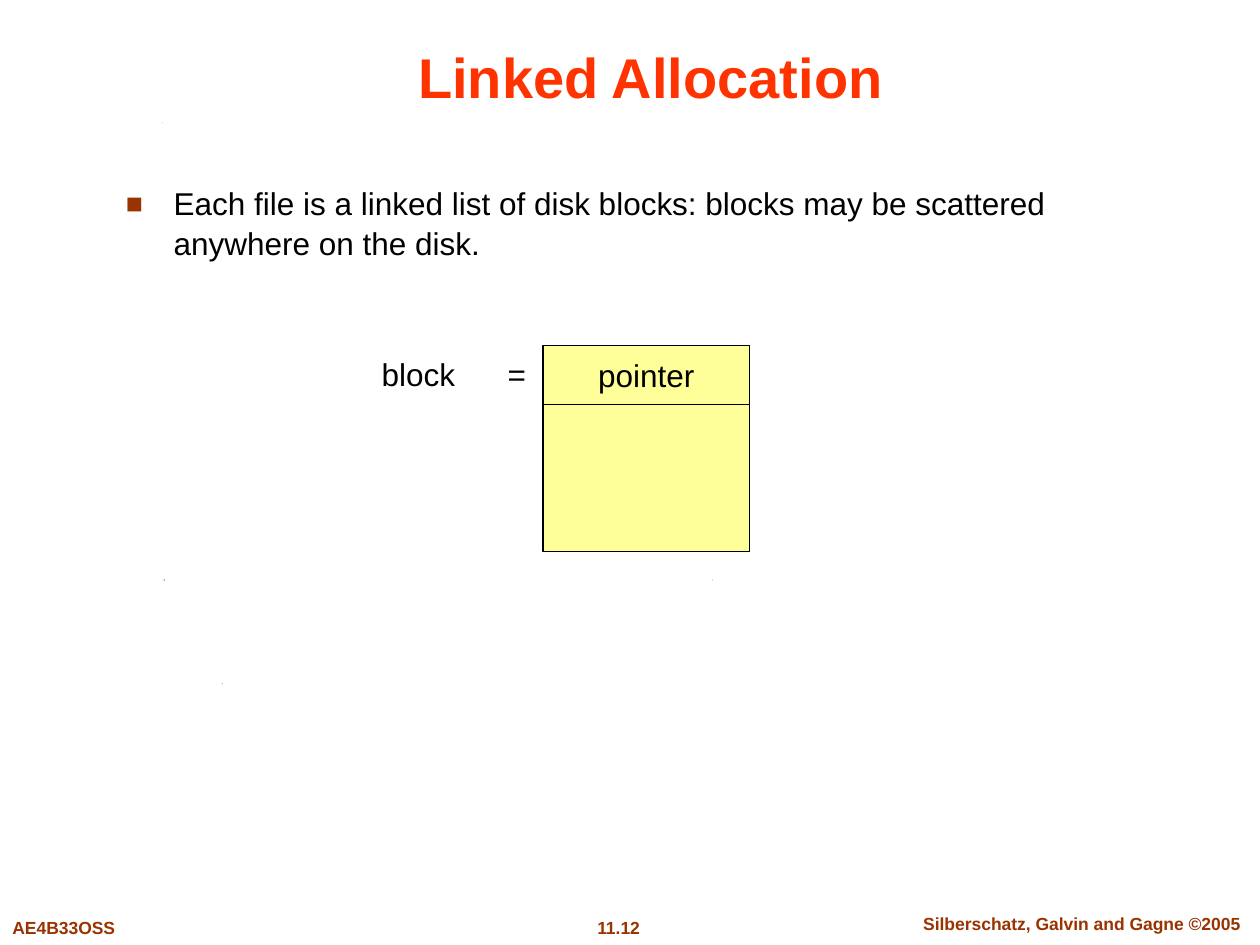
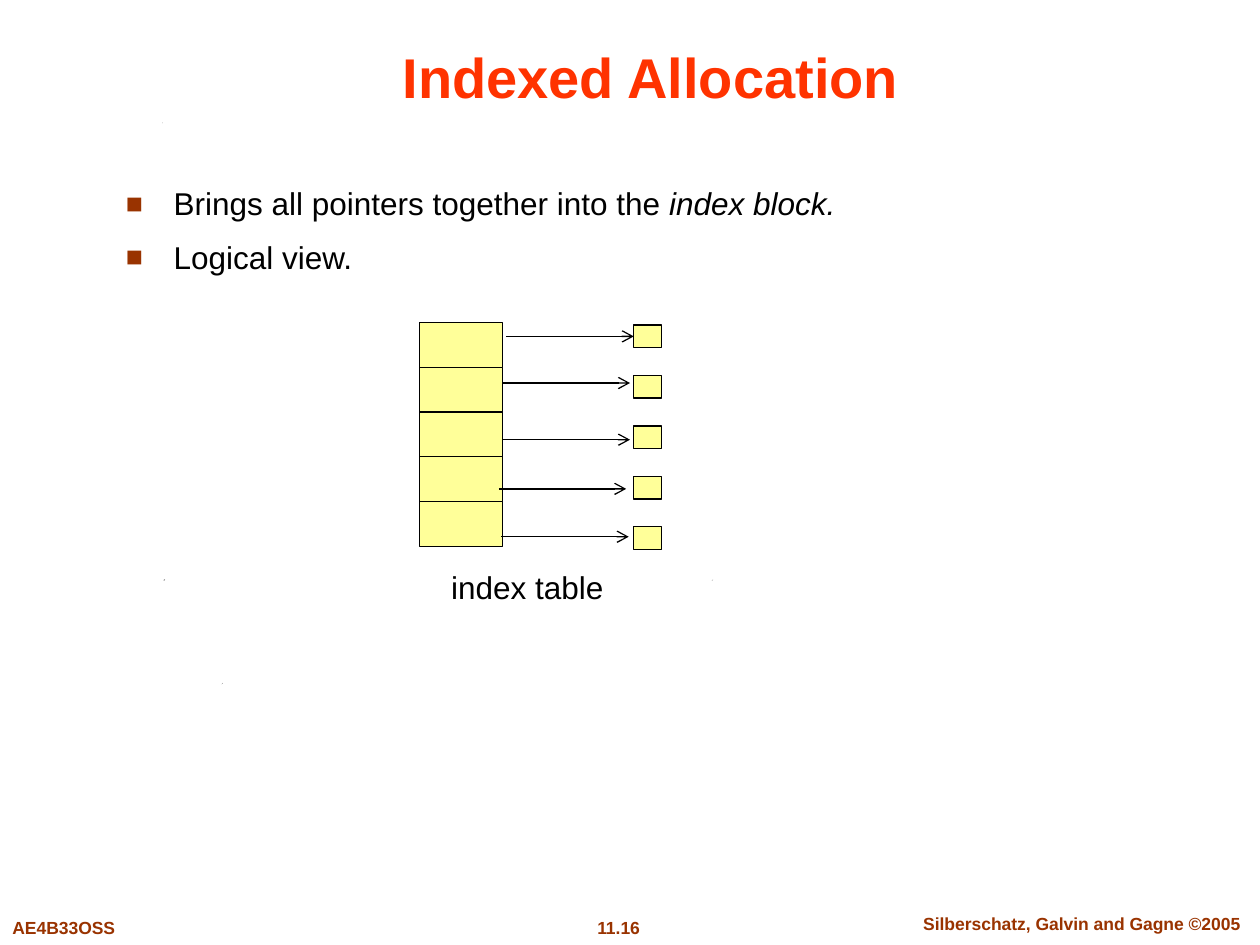
"""Build two slides on linked and indexed file allocation."""
from lxml import etree
from pptx import Presentation
from pptx.dml.color import RGBColor
from pptx.enum.shapes import MSO_CONNECTOR, MSO_SHAPE
from pptx.enum.text import MSO_ANCHOR as ANCHOR, MSO_AUTO_SIZE as AUTO, PP_ALIGN as ALIGN
from pptx.oxml.ns import qn
from pptx.util import Inches, Pt

BLACK = RGBColor(0x00, 0x00, 0x00)
BROWN = RGBColor(0x99, 0x33, 0x00)
RED = RGBColor(0xFF, 0x33, 0x00)
YELLOW = RGBColor(0xFF, 0xFF, 0x99)

TITLE = {"name": "Arial", "size": Pt(32), "bold": True}
BODY = {"name": "Arial", "size": Pt(18), "bold": False}
FOOTER = {"name": "Arial", "size": Pt(10), "bold": True}
SPECKS = [
    [(176, 543), (177, 542), (176, 543)],
    [(130, 460), (131, 460), (130, 461)],
    [(565, 461), (566, 460), (565, 461)],
    [(129, 98), (129, 97), (129, 98)],
]
SLIDES = [
    ("Linked Allocation", "11.12", 0.81, [
        [("Each file is a linked list of disk blocks: blocks may be scattered "
          "anywhere on the disk.", False)]]),
    ("Indexed Allocation", "11.16", 1.02, [
        [("Brings all pointers together into the ", False), ("index block.", True)],
        [("Logical view.", False)]]),
]


def write(sp, paragraphs, font, color, align=ALIGN.CENTER, anchor=ANCHOR.MIDDLE, wrap=False):
    tf = sp.text_frame
    frame = {"auto_size": AUTO.NONE, "word_wrap": wrap, "vertical_anchor": anchor,
             "margin_left": Inches(0.1), "margin_right": Inches(0.1),
             "margin_top": Inches(0.05), "margin_bottom": Inches(0.05)}
    for key, value in frame.items():
        setattr(tf, key, value)
    for i, runs in enumerate(paragraphs):
        p = tf.add_paragraph() if i else tf.paragraphs[0]
        p.alignment = align
        for text, italic in runs:
            r = p.add_run()
            r.text = text
            for key, value in {**font, "italic": italic}.items():
                setattr(r.font, key, value)
            r.font.color.rgb = color
    return tf


def add_rect(s, *box):
    sp = s.shapes.add_shape(MSO_SHAPE.RECTANGLE, *map(Inches, box))
    sp.shadow.inherit = False
    sp.fill.solid()
    sp.fill.fore_color.rgb = YELLOW
    sp.line.color.rgb = BLACK
    sp.line.width = Pt(0.75)
    return sp


prs = Presentation()
prs.slide_width, prs.slide_height = Inches(10), Inches(7.5)

for title, number, body_height, bullets in SLIDES:
    s = prs.slides.add_slide(prs.slide_layouts[5])

    for start, *points in SPECKS:
        builder = s.shapes.build_freeform(*start, scale=Inches(0.01))
        builder.add_line_segments(points)
        sp = builder.convert_to_shape()
        sp.shadow.inherit = False
        sp.fill.solid()
        sp.fill.fore_color.rgb = BLACK
        sp.line.fill.background()

    footers = [
        (number, (4.38, 7.23, 1.06, 0.27), ALIGN.CENTER),
        ("Silberschatz, Galvin and Gagne ©2005", (7.1, 7.2, 2.97, 0.27), ALIGN.CENTER),
        ("AE4B33OSS", (0, 7.23, 1.01, 0.27), ALIGN.LEFT),
    ]
    for text, box, align in footers:
        sp = s.shapes.add_textbox(*map(Inches, box))
        write(sp, [[(text, False)]], FOOTER, BROWN, align, ANCHOR.TOP)

    sp = s.shapes.title
    sp.left, sp.top, sp.width, sp.height = map(Inches, (0.75, 0.25, 8.83, 0.67))
    write(sp, [[(title, False)]], TITLE, RED, anchor=ANCHOR.BOTTOM, wrap=True)

    sp = s.shapes.add_textbox(*map(Inches, (0.9, 1.4, 8.6, body_height)))
    tf = write(sp, bullets, BODY, BLACK, ALIGN.LEFT, ANCHOR.TOP, True)
    for p in tf.paragraphs:
        p.space_before = Pt(7.9)
        p.line_spacing = 1.05
        pPr = p._p.get_or_add_pPr()
        pPr.set("marL", str(Inches(0.38)))
        pPr.set("indent", str(-Inches(0.38)))
        color = etree.SubElement(pPr, qn("a:buClr"))
        etree.SubElement(color, qn("a:srgbClr"), val=str(BROWN))
        etree.SubElement(pPr, qn("a:buSzPct"), val="90000")
        etree.SubElement(pPr, qn("a:buFont"), typeface="Arial")
        etree.SubElement(pPr, qn("a:buChar"), char="■")

linked, indexed = prs.slides

pointer = add_rect(linked, 4.31, 2.74, 1.64, 0.47)
write(pointer, [[("pointer", False)]], BODY, BLACK)
add_rect(linked, 4.31, 3.21, 1.64, 1.17)
label = linked.shapes.add_textbox(*map(Inches, (2.93, 2.77, 1.34, 0.4)))
tf = write(label, [[("block\t=", False)]], BODY, BLACK, ALIGN.LEFT)
tabs = etree.SubElement(tf.paragraphs[0]._p.get_or_add_pPr(), qn("a:tabLst"))
etree.SubElement(tabs, qn("a:tab"), pos=str(Inches(1)), algn="l")

for row in range(5):
    add_rect(indexed, 3.33, 2.56 + row * 0.355, 0.66, 0.36)
blocks = [add_rect(indexed, 5.03, 2.58 + row * 0.4, 0.22, 0.18) for row in range(5)]

arrows = [(4.02, 2.67), (3.99, 3.04), (3.99, 3.49), (3.96, 3.88), (3.98, 4.26)]
for row, (x, y) in enumerate(arrows):
    arrow = indexed.shapes.add_connector(
        MSO_CONNECTOR.STRAIGHT, *map(Inches, (x, y, x + 1.01, y)))
    if row == 0:
        arrow.end_connect(blocks[row], 1)
    arrow.line.color.rgb = BLACK
    arrow.line.width = Pt(0.75)
    etree.SubElement(arrow.line._get_or_add_ln(), qn("a:tailEnd"), type="arrow")
    etree.SubElement(arrow._element.spPr, qn("a:effectLst"))

label = indexed.shapes.add_textbox(*map(Inches, (3.48, 4.46, 1.41, 0.4)))
write(label, [[("index table", False)]], BODY, BLACK)

prs.save("out.pptx")
